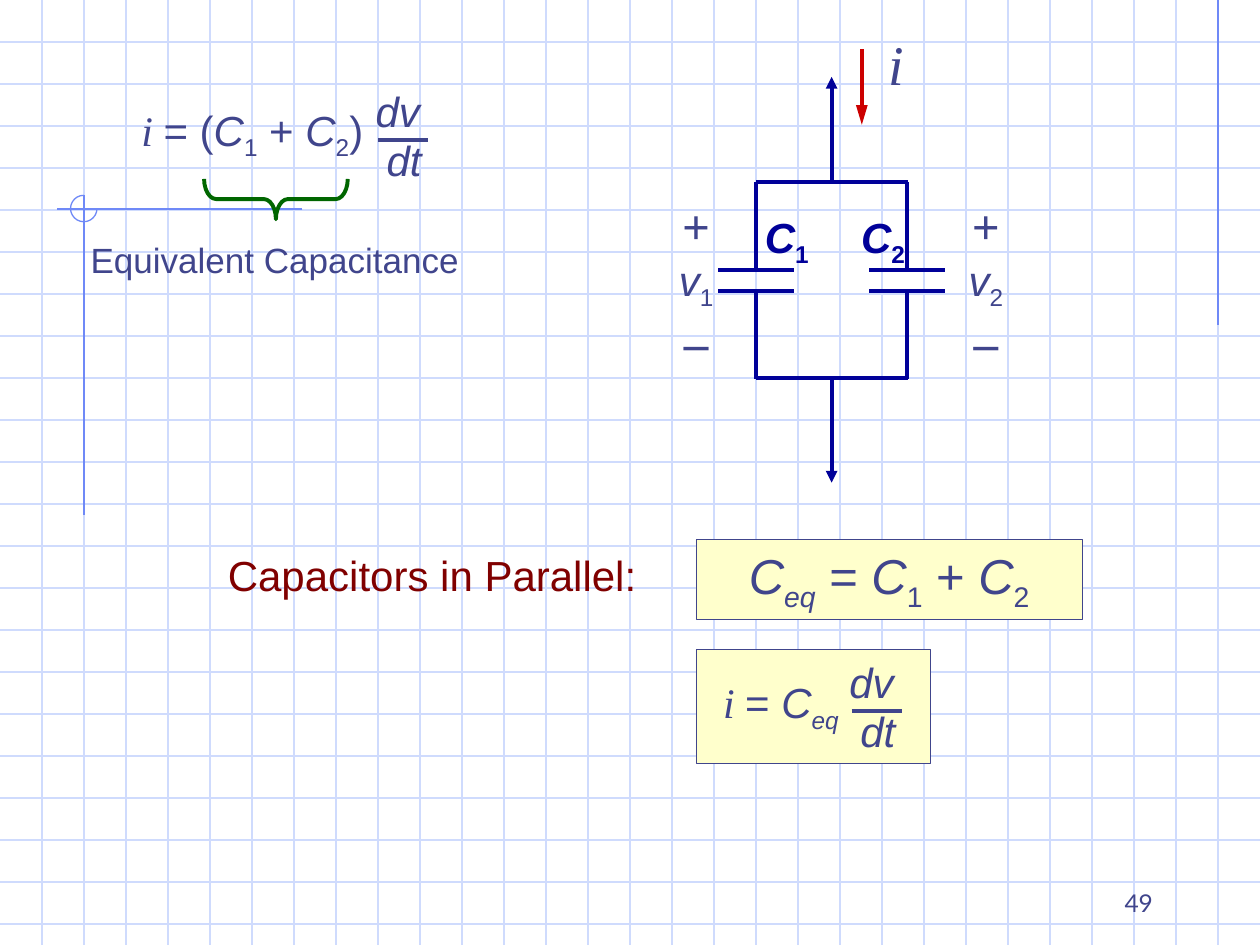
from lxml import etree
from pptx import Presentation
from pptx.dml.color import RGBColor
from pptx.enum.shapes import MSO_CONNECTOR, MSO_SHAPE
from pptx.enum.text import MSO_ANCHOR, MSO_AUTO_SIZE, PP_ALIGN
from pptx.oxml.ns import qn
from pptx.util import Inches, Pt

STRAIGHT = MSO_CONNECTOR.STRAIGHT
RECT, ARC, BRACE = MSO_SHAPE.RECTANGLE, MSO_SHAPE.ARC, MSO_SHAPE.RIGHT_BRACE
LEFT, MID, RIGHT = PP_ALIGN.LEFT, PP_ALIGN.CENTER, PP_ALIGN.RIGHT
FIXED = MSO_AUTO_SIZE.NONE
TOP, BOTTOM = MSO_ANCHOR.TOP, MSO_ANCHOR.BOTTOM
CELL = 1 / 3
COLS, ROWS = 30, 22.5
INK, NAVY, RED, GREEN = "40458C", "000099", "CC0000", "006600"
MAROON, CREAM, PALE, BLUE = "800000", "FFFFCC", "CFDBFD", "6F89F7"
SANS, SERIF = "Arial", "Times New Roman"


def cells(*nums):
    return [Inches(n * CELL) for n in nums]


def color(code):
    return RGBColor.from_string(code)


def line(slide, x1, y1, x2, y2, hue, width=2.25, head=None):
    wire = slide.shapes.add_connector(STRAIGHT, *cells(x1, y1, x2, y2))
    wire.line.color.rgb = color(hue)
    wire.line.width = Pt(width)
    props = wire._element.spPr
    etree.SubElement(props, qn("a:effectLst"))
    if head:
        ln = props.find(qn("a:ln"))
        etree.SubElement(ln, qn("a:tailEnd"), type="triangle", len=head)


def shape(slide, kind, box, hue, width, fill=None):
    form = slide.shapes.add_shape(kind, *cells(*box))
    form.shadow.inherit = False
    form.line.color.rgb = color(hue)
    form.line.width = Pt(width)
    if fill:
        form.fill.solid()
        form.fill.fore_color.rgb = color(fill)
    else:
        form.fill.background()
    return form


def write(par, runs, size, hue, align, face=SANS):
    par.alignment = align
    for words, style in runs:
        run = par.add_run()
        run.text = words
        font = run.font
        font.name = SERIF if "t" in style else face
        font.size = Pt(size)
        font.color.rgb = color(hue)
        font.italic = "i" in style
        font.bold = "b" in style
        if "s" in style:
            font._element.set("baseline", "-25000")


def text(slide, box, runs, size=24, hue=INK, align=LEFT, face=SANS):
    label = slide.shapes.add_textbox(*cells(*box))
    frame = label.text_frame
    frame.word_wrap = True
    frame.auto_size = FIXED
    write(frame.paragraphs[0], runs, size, hue, align, face)
    return frame


def grid(slide):
    for row in range(1, int(ROWS) + 1):
        line(slide, 0, row, COLS, row, PALE, 0.75)
    for col in range(1, COLS):
        line(slide, col, 0, col, ROWS, PALE, 0.75)
    line(slide, 29, 0, 29, 7.74, BLUE, 0.75)
    line(slide, 7.2, 4.98, 1.35, 4.98, BLUE, 0.75)
    line(slide, 2, 4.65, 2, 12.27, BLUE, 0.75)
    ring = shape(slide, ARC, (1.68, 4.65, 0.63, 0.63), BLUE, 0.75)
    ring.adjustments[0] = 0
    ring.adjustments[1] = 162


def ratio(slide, x, y):
    text(slide, (x - 0.35, y - 1.44, 2.1, 1.5), [("dv", "i")])
    text(slide, (x - 0.09, y - 0.27, 1.8, 1.5), [("dt", "i")])
    line(slide, x, y, x + 1.2, y, INK)


def volts(slide, x, index):
    frame = text(slide, (x, 4.5, 2.01, 4.47), [("+", "bt")], 28, align=MID)
    write(frame.add_paragraph(), [("v", "i"), (index, "s")], 24, INK, MID)
    write(frame.add_paragraph(), [("–", "bt")], 28, INK, MID)


def plates(slide, x):
    for y, end in ((6.42, 4.33), (6.93, 9.02)):
        line(slide, x - 0.9, y, x + 0.9, y, NAVY)
        line(slide, x, y, x, end, NAVY)


def circuit(slide):
    for x, index in ((17.71, "1"), (20, "2")):
        text(slide, (x, 4.88, 2.05, 1.5), [("C", "bi"), (index, "bs")],
             hue=NAVY, align=MID)
    for x in (18, 21.6):
        plates(slide, x)
    for y in (4.34, 9):
        line(slide, 18, y, 21.62, y, NAVY)
    for start, end in ((4.33, 1.83), (9.02, 11.49)):
        line(slide, 19.8, start, 19.8, end, NAVY, head="med")
    volts(slide, 15.57, "1")
    volts(slide, 22.47, "2")
    line(slide, 20.52, 1.17, 20.52, 2.97, RED, head="lg")
    text(slide, (20.85, 0.55, 0.96, 1.92), [("i", "it")], 32)


def main():
    deck = Presentation()
    deck.slide_width, deck.slide_height = cells(COLS, ROWS)
    slide = deck.slides.add_slide(deck.slide_layouts[6])
    grid(slide)
    page = text(slide, (21.5, 20.5, 6.25, 1.5), [("49", "")], 14,
                align=RIGHT, face="Lato")
    page.vertical_anchor = BOTTOM

    total = [("C", "i"), ("1", "s"), (" + ", ""), ("C", "i"), ("2", "s")]
    text(slide, (3.07, 2.34, 6.4, 1.68),
         [("i ", "it"), ("= (", "")] + total + [(")", "")])
    ratio(slide, 9, 3.33)
    circuit(slide)
    brace = shape(slide, BRACE, (6.09, 3.03, 0.96, 3.42), GREEN, 2.25)
    brace.rotation = 90
    brace.adjustments[0] = 0.3
    text(slide, (1.86, 5.52, 10, 1.32), [("Equivalent Capacitance", "")], 20)

    equal = shape(slide, RECT, (16.57, 12.85, 9.2, 1.9), INK, 0.25, CREAM)
    equal.text_frame.vertical_anchor = TOP
    write(equal.text_frame.paragraphs[0],
          [("C", "i"), ("eq", "is"), (" = ", "")] + total, 28, INK, MID)
    text(slide, (5.13, 12.93, 10.8, 1.5), [("Capacitors in Parallel:", "")],
         hue=MAROON)
    shape(slide, RECT, (16.57, 15.46, 5.58, 2.72), INK, 0.25, CREAM)
    text(slide, (16.92, 15.96, 3.6, 1.68),
         [("i ", "it"), ("= ", ""), ("C", "i"), ("eq", "is")])
    ratio(slide, 20.28, 16.92)
    deck.save("out.pptx")


if __name__ == "__main__":
    main()
